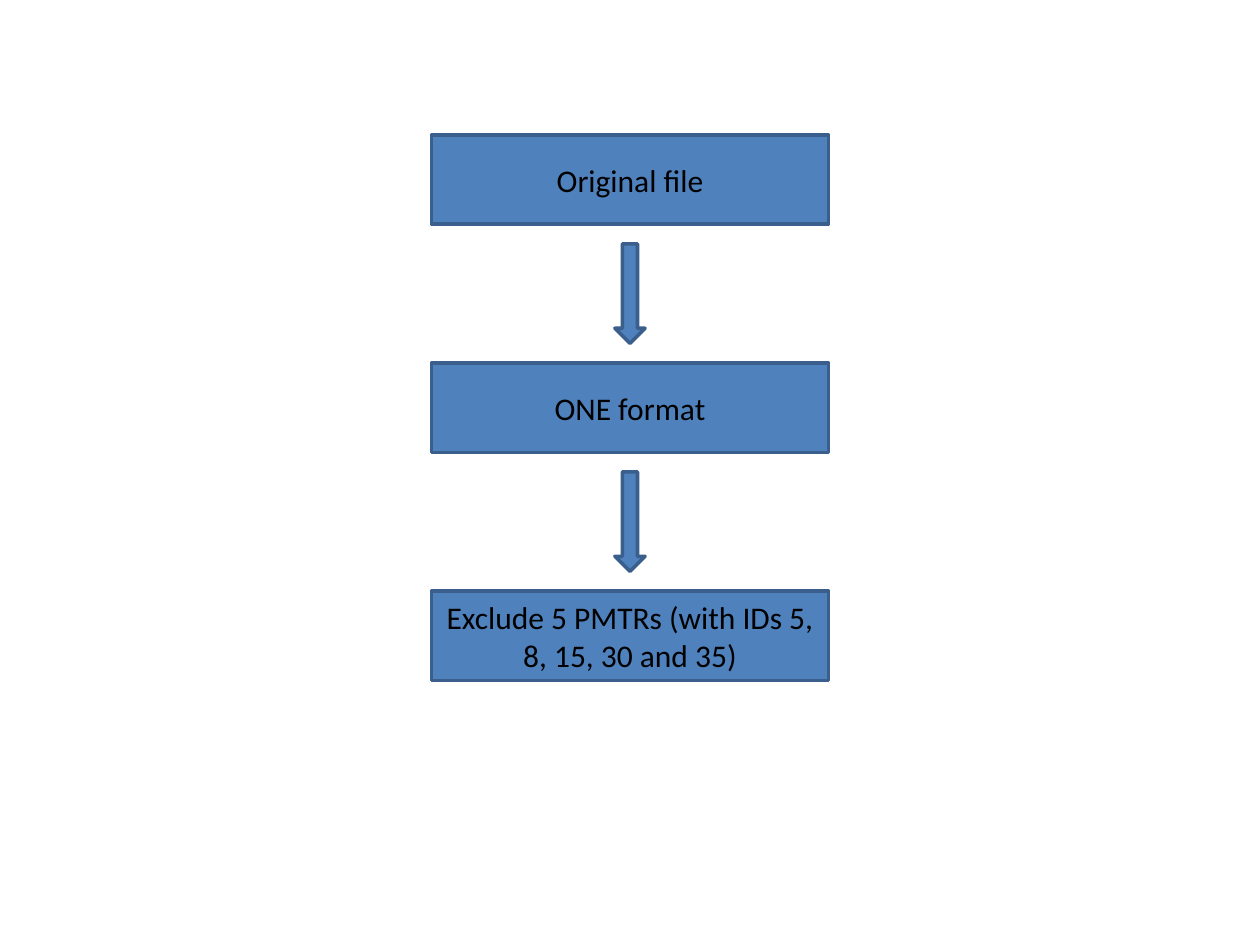
from pptx import Presentation
from pptx.dml.color import RGBColor
from pptx.enum.shapes import MSO_SHAPE as Shape
from pptx.enum.text import MSO_ANCHOR as Anchor, PP_ALIGN as Align
from pptx.util import Inches, Pt

BLUE = RGBColor(0x4F, 0x81, 0xBD)
DARK_BLUE = RGBColor(0x3A, 0x5F, 0x8C)
BLACK = RGBColor(0, 0, 0)

SLIDE_WIDTH, SLIDE_HEIGHT = 10, 7.5
FIRST_TOP, ROW_STEP = 1.07, 1.81
BOX_WIDTH, BOX_HEIGHT = 3.15, 0.71
ARROW_WIDTH, ARROW_HEIGHT = 0.24, 0.79
ARROW_OFFSET = (ROW_STEP + BOX_HEIGHT - ARROW_HEIGHT) / 2

STEPS = [
    "Original file",
    "ONE format",
    "Exclude 5 PMTRs (with IDs 5, 8, 15, 30 and 35)",
]

presentation = Presentation()
presentation.slide_width = Inches(SLIDE_WIDTH)
presentation.slide_height = Inches(SLIDE_HEIGHT)
slide = presentation.slides.add_slide(presentation.slide_layouts[6])


def add_centred_shape(kind, top, width, height):
    left = (SLIDE_WIDTH - width) / 2
    shape = slide.shapes.add_shape(
        kind, Inches(left), Inches(top), Inches(width), Inches(height)
    )
    shape.shadow.inherit = False
    shape.fill.solid()
    shape.fill.fore_color.rgb = BLUE
    shape.line.color.rgb = DARK_BLUE
    shape.line.width = Pt(2)
    return shape


for row, step in enumerate(STEPS):
    box = add_centred_shape(
        Shape.RECTANGLE, FIRST_TOP + row * ROW_STEP, BOX_WIDTH, BOX_HEIGHT
    )
    text_frame = box.text_frame
    text_frame.text = step
    text_frame.word_wrap = True
    text_frame.vertical_anchor = Anchor.MIDDLE
    paragraph = text_frame.paragraphs[0]
    paragraph.alignment = Align.CENTER
    font = paragraph.runs[0].font
    font.name = "Calibri"
    font.size = Pt(18)
    font.color.rgb = BLACK

for row in range(len(STEPS) - 1):
    arrow_top = FIRST_TOP + row * ROW_STEP + ARROW_OFFSET
    add_centred_shape(Shape.DOWN_ARROW, arrow_top, ARROW_WIDTH, ARROW_HEIGHT)

presentation.save("out.pptx")
